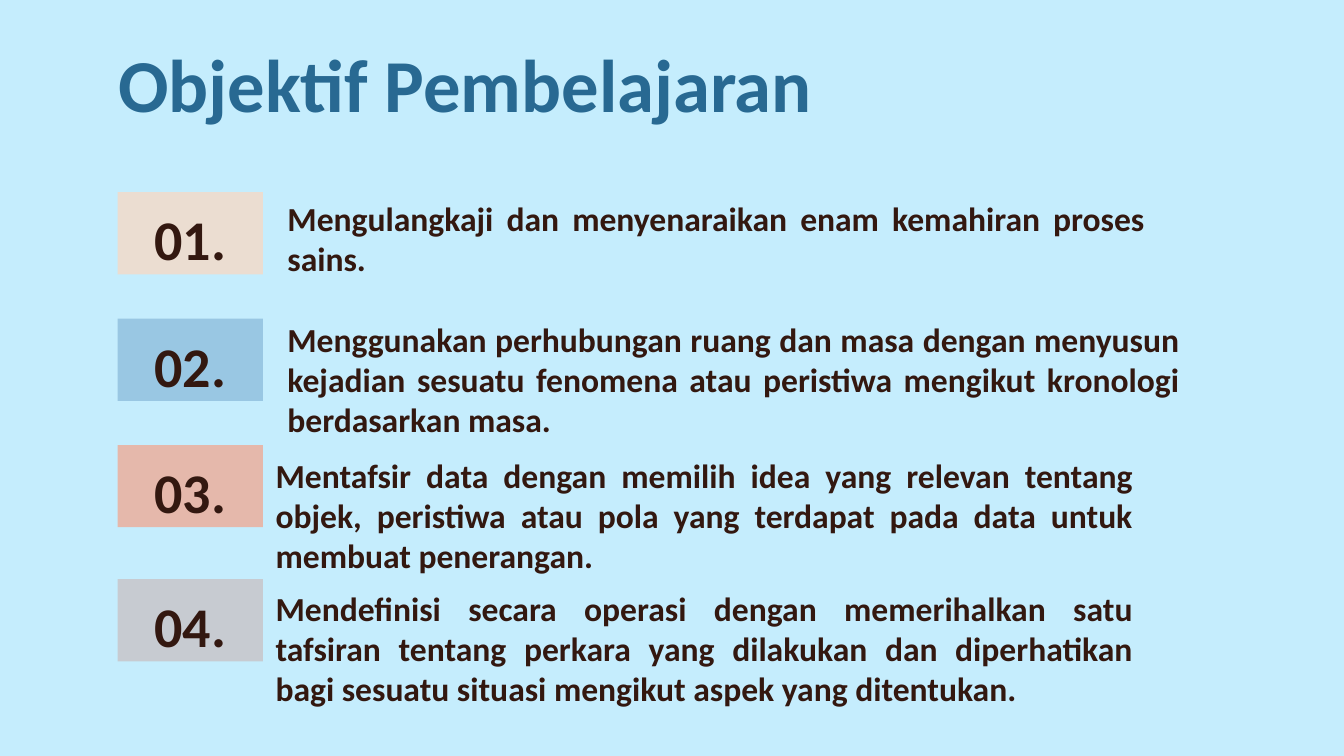
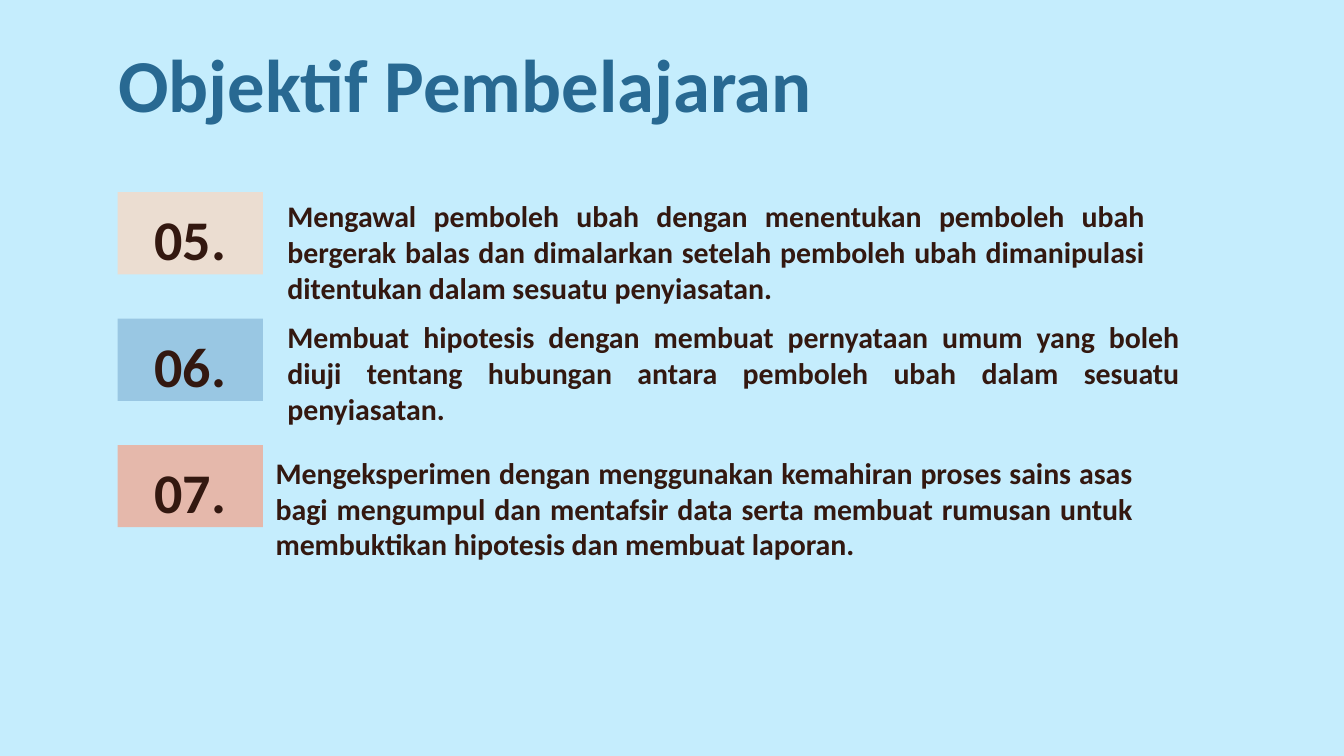
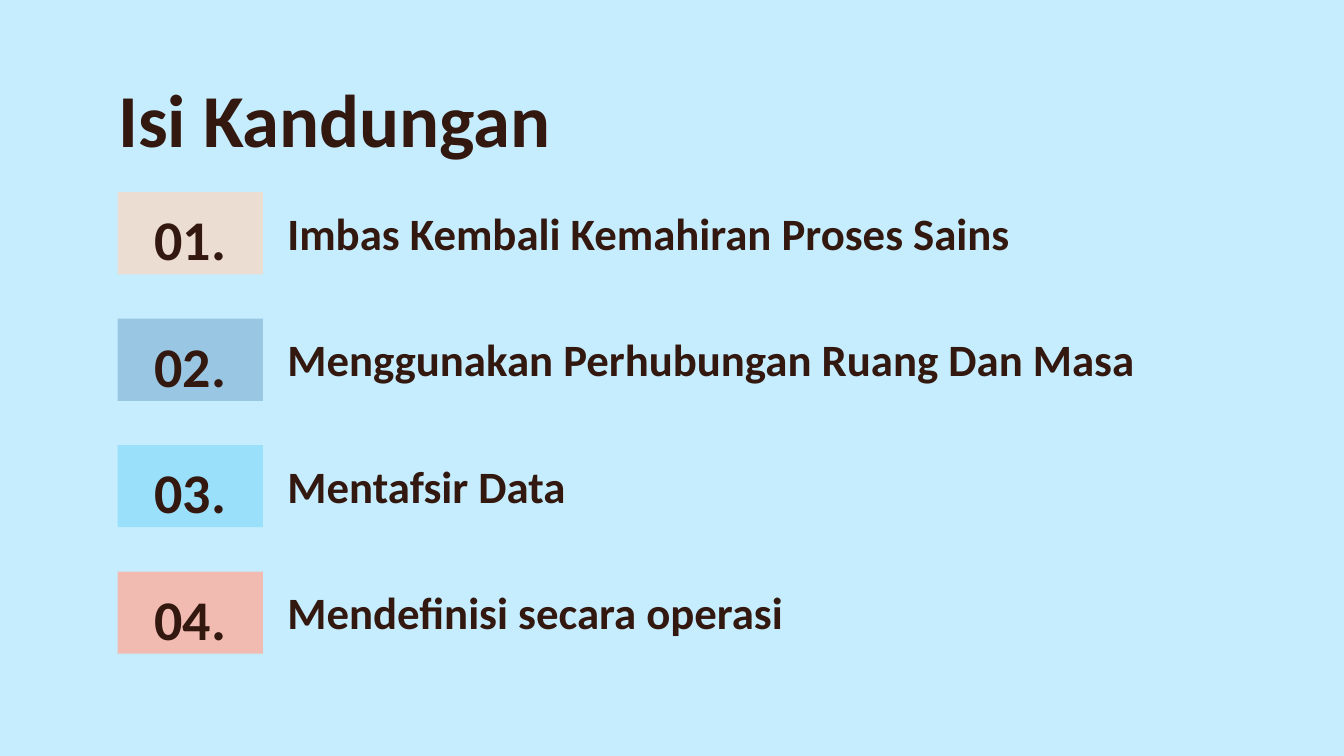
from dataclasses import dataclass

from pptx import Presentation
from pptx.dml.color import RGBColor
from pptx.enum.shapes import MSO_SHAPE
from pptx.enum.text import MSO_ANCHOR, PP_ALIGN
from pptx.util import Inches, Pt

RECT = MSO_SHAPE.RECTANGLE
TOP, MIDDLE = MSO_ANCHOR.TOP, MSO_ANCHOR.MIDDLE
LEFT, CENTER, JUSTIFY = PP_ALIGN.LEFT, PP_ALIGN.CENTER, PP_ALIGN.JUSTIFY

SKY = RGBColor(0xC5, 0xED, 0xFD)
TEAL = RGBColor(0x28, 0x69, 0x92)
BROWN = RGBColor(0x33, 0x18, 0x10)
SAND = RGBColor(0xEB, 0xDD, 0xD1)
BLUE = RGBColor(0x99, 0xC7, 0xE3)
ROSE = RGBColor(0xE5, 0xB8, 0xAB)
GREY = RGBColor(0xC7, 0xCB, 0xD1)
AQUA = RGBColor(0x9A, 0xE0, 0xFB)
PINK = RGBColor(0xF2, 0xBB, 0xB1)

FONT = "Calibri"
WIDTH = Inches(10)
HEIGHT = WIDTH * 9 // 16
COL, ROW = WIDTH / 100, HEIGHT / 100
PAD = Inches(0.1)
FIRST, PITCH = 25.42, 16.73
TAG_X, TAG_W, TAG_H = 8.76, 10.8, 10.87
NEAR, FAR = 19.52, 20.4


@dataclass(frozen=True)
class Box:
    x: float
    y: float
    w: float
    h: float

    def place(self) -> tuple[int, int, int, int]:
        return (round(self.x * COL), round(self.y * ROW),
                round(self.w * COL), round(self.h * ROW))


@dataclass(frozen=True)
class Style:
    size: int
    color: RGBColor = BROWN
    align: PP_ALIGN = LEFT
    anchor: MSO_ANCHOR = TOP
    space: float = 1.0


@dataclass(frozen=True)
class Slot:
    x: float
    w: float
    h: float
    rise: float = 0
    drop: float = 0


@dataclass(frozen=True)
class Item:
    text: str
    fill: RGBColor
    slot: Slot


@dataclass(frozen=True)
class Page:
    title: str
    top: float
    color: RGBColor
    start: int
    body: Style
    items: list[Item]


TAG = Style(30, align=CENTER, anchor=MIDDLE, space=1.15)
GOALS = [
    Slot(FAR, 65.8, 15.3, 1.0),
    Slot(FAR, 68.4, TAG_H, 1.78),
    Slot(NEAR, 65.8, 19.4, 0.53),
    Slot(NEAR, 65.8, 19.4, 0.68, 1.0),
]

PAGES = [
    Page("Objektif Pembelajaran", 1.42, TEAL, 1, Style(18, align=JUSTIFY), [
        Item("Mengulangkaji dan menyenaraikan enam kemahiran proses sains.",
             SAND, GOALS[0]),
        Item("Menggunakan perhubungan ruang dan masa dengan menyusun kejadian "
             "sesuatu fenomena atau peristiwa mengikut kronologi berdasarkan masa.",
             BLUE, GOALS[1]),
        Item("Mentafsir data dengan memilih idea yang relevan tentang objek, "
             "peristiwa atau pola yang terdapat pada data untuk membuat penerangan.",
             ROSE, GOALS[2]),
        Item("Mendefinisi secara operasi dengan memerihalkan satu tafsiran tentang "
             "perkara yang dilakukan dan diperhatikan bagi sesuatu situasi mengikut "
             "aspek yang ditentukan.",
             GREY, GOALS[3]),
    ]),
    Page("Objektif Pembelajaran", 1.42, TEAL, 5, Style(16, align=JUSTIFY), [
        Item("Mengawal pemboleh ubah dengan menentukan pemboleh ubah bergerak balas "
             "dan dimalarkan setelah pemboleh ubah dimanipulasi ditentukan dalam "
             "sesuatu penyiasatan.",
             SAND, GOALS[0]),
        Item("Membuat hipotesis dengan membuat pernyataan umum yang boleh diuji "
             "tentang hubungan antara pemboleh ubah dalam sesuatu penyiasatan.",
             BLUE, GOALS[1]),
        Item("Mengeksperimen dengan menggunakan kemahiran proses sains asas bagi "
             "mengumpul dan mentafsir data serta membuat rumusan untuk membuktikan "
             "hipotesis dan membuat laporan.",
             ROSE, GOALS[2]),
    ]),
    Page("Isi Kandungan", 6.05, BROWN, 1, Style(24), [
        Item("Imbas Kembali Kemahiran Proses Sains", SAND, Slot(FAR, 59.4, TAG_H)),
        Item("Menggunakan Perhubungan Ruang Dan Masa", BLUE, Slot(FAR, 72.6, TAG_H)),
        Item("Mentafsir Data", AQUA, Slot(FAR, 46.2, 15.66)),
        Item("Mendefinisi secara operasi", PINK, Slot(FAR, 46.2, 15.66)),
    ]),
]


def write(shape, text: str, style: Style) -> None:
    frame = shape.text_frame
    frame.text = text
    frame.word_wrap = True
    frame.vertical_anchor = style.anchor
    frame.margin_left = frame.margin_right = PAD
    frame.margin_top = frame.margin_bottom = PAD
    para = frame.paragraphs[0]
    para.alignment = style.align
    para.line_spacing = style.space
    font = para.runs[0].font
    font.name, font.size, font.bold = FONT, Pt(style.size), True
    font.color.rgb = style.color


def label(slide, box: Box, text: str, style: Style) -> None:
    write(slide.shapes.add_textbox(*box.place()), text, style)


def badge(slide, box: Box, text: str, fill: RGBColor) -> None:
    shape = slide.shapes.add_shape(RECT, *box.place())
    shape.shadow.inherit = False
    shape.fill.solid()
    shape.fill.fore_color.rgb = fill
    shape.line.fill.background()
    write(shape, text, TAG)


def draw(deck, page: Page) -> None:
    slide = deck.slides.add_slide(deck.slide_layouts[6])
    head = Style(40, page.color, space=1.15)
    label(slide, Box(7.82, page.top, 84.4, 12.63), page.title, head)
    for step, item in enumerate(page.items):
        slot = item.slot
        y = FIRST + step * PITCH + slot.drop
        badge(slide, Box(TAG_X, y, TAG_W, TAG_H),
              f"{page.start + step:02d}.", item.fill)
        label(slide, Box(slot.x, y - slot.rise, slot.w, slot.h),
              item.text, page.body)


def main() -> None:
    deck = Presentation()
    deck.slide_width, deck.slide_height = WIDTH, HEIGHT
    back = deck.slide_master.background.fill
    back.solid()
    back.fore_color.rgb = SKY
    for page in PAGES:
        draw(deck, page)
    deck.save("out.pptx")


if __name__ == "__main__":
    main()
